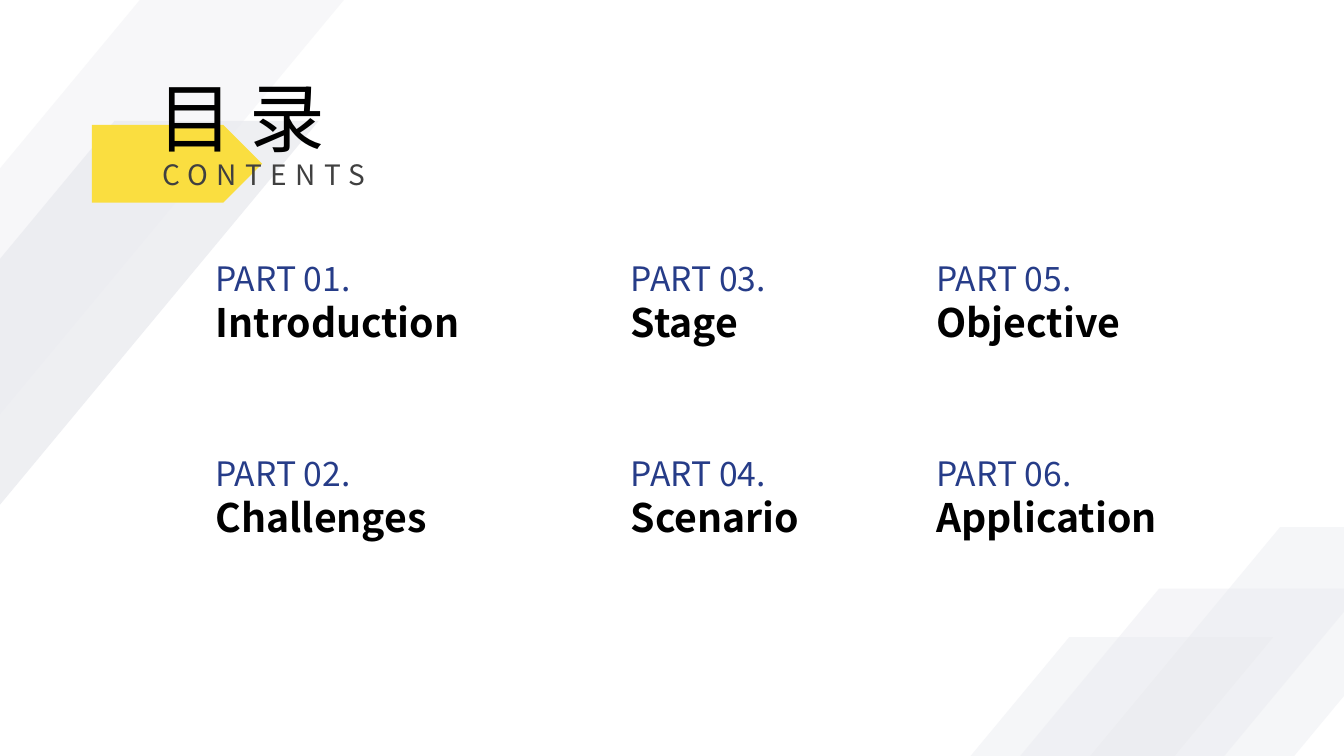
from dataclasses import dataclass

from lxml import etree
from pptx import Presentation
from pptx.dml.color import RGBColor
from pptx.enum.shapes import MSO_SHAPE
from pptx.enum.text import MSO_AUTO_SIZE
from pptx.oxml.ns import qn
from pptx.util import Inches, Pt

BAND = MSO_SHAPE.PARALLELOGRAM
ARROW = MSO_SHAPE.PENTAGON
GROW = MSO_AUTO_SIZE.SHAPE_TO_FIT_TEXT

WIDE, HIGH = Inches(13.33), Inches(7.5)


@dataclass(frozen=True)
class Theme:
    font: str = "Noto Sans CJK SC"
    ink: str = "000000"
    grey: str = "404040"
    navy: str = "263C88"
    gold: str = "FADE40"
    mist: str = "E9EAEF"
    head: int = 54
    sub: int = 20
    label: int = 24
    title: int = 28


THEME = Theme()

# All boxes are left, top, width, height in percent of the slide.
BAND_SIZE = (44.64, 63.07)
BANDS = [  # left, top, opacity
    (-19.05, 0, 35),
    (-20.93, 16, 76),
    (65.79, 69.73, 41),
    (50.11, 84.27, 41),
    (56.79, 77.87, 43),
]
HEAD_BOX = (6.83, 8.67, 28.12, 18.13)
LIST_BOX = (15.3, 33.47, 72.2, 38.67)
COLS = (0, 30.91, 53.64)
ROWS = (0, 25.73)
TOPICS = [  # title, width; filled column by column
    ("Introduction", 20.1), ("Challenges", 17.6),
    ("Stage", 9.8), ("Scenario", 14.6),
    ("Objective", 15.5), ("Application", 18.6),
]


def place(box):
    """Turn a box in percent into slide lengths."""
    x, y, w, h = box
    return [int(n * full / 100)
            for n, full in ((x, WIDE), (y, HIGH), (w, WIDE), (h, HIGH))]


def add_fill(slide, kind, box, color, alpha=100):
    shape = slide.shapes.add_shape(kind, *place(box))
    shape.shadow.inherit = False
    shape.line.fill.background()
    shape.fill.solid()
    shape.fill.fore_color.rgb = RGBColor.from_string(color)
    if alpha < 100:
        tint = shape.element.spPr.find(".//" + qn("a:srgbClr"))
        etree.SubElement(tint, qn("a:alpha")).set("val", str(alpha * 1000))
    return shape


def add_text(slide, box, text, size, color, bold=False, gap=0):
    """Add one line of text; gap is the letter spacing in points."""
    frame = slide.shapes.add_textbox(*place(box)).text_frame
    frame.word_wrap = True
    frame.auto_size = GROW
    run = frame.paragraphs[0].add_run()
    run.text = text
    font = run.font
    font.size = Pt(size)
    font.bold = bold
    font.color.rgb = RGBColor.from_string(color)
    font.name = THEME.font
    props = run._r.get_or_add_rPr()
    etree.SubElement(props, qn("a:ea")).set("typeface", THEME.font)
    if gap:
        props.set("spc", str(gap * 100))


def draw_bands(slide):
    for x, y, alpha in BANDS:
        band = add_fill(slide, BAND, (x, y, *BAND_SIZE), THEME.mist, alpha)
        band.adjustments[0] = 0.83


def draw_head(slide, box):
    x, y = box[:2]
    add_fill(slide, ARROW, (x, y + 7.86, 12.68, 10.27), THEME.gold)
    add_text(slide, (x + 4.12, y, 24, 13.47), "目 录", THEME.head, THEME.ink)
    add_text(slide, (x + 4.5, y + 11.46, 23.26, 5.87), "CONTENTS",
             THEME.sub, THEME.grey, gap=6)


def draw_list(slide, box):
    left, top = box[:2]
    for i, (title, wide) in enumerate(TOPICS):
        col, row = divmod(i, len(ROWS))
        x, y = left + COLS[col], top + ROWS[row]
        add_text(slide, (x, y, 12, 6.67), f"PART {i + 1:02}.",
                 THEME.label, THEME.navy)
        add_text(slide, (x, y + 5.4, wide, 7.6), title,
                 THEME.title, THEME.ink, bold=True)


def main():
    deck = Presentation()
    deck.slide_width, deck.slide_height = WIDE, HIGH
    slide = deck.slides.add_slide(deck.slide_layouts[6])
    draw_bands(slide)
    draw_head(slide, HEAD_BOX)
    draw_list(slide, LIST_BOX)
    deck.save("out.pptx")


if __name__ == "__main__":
    main()
